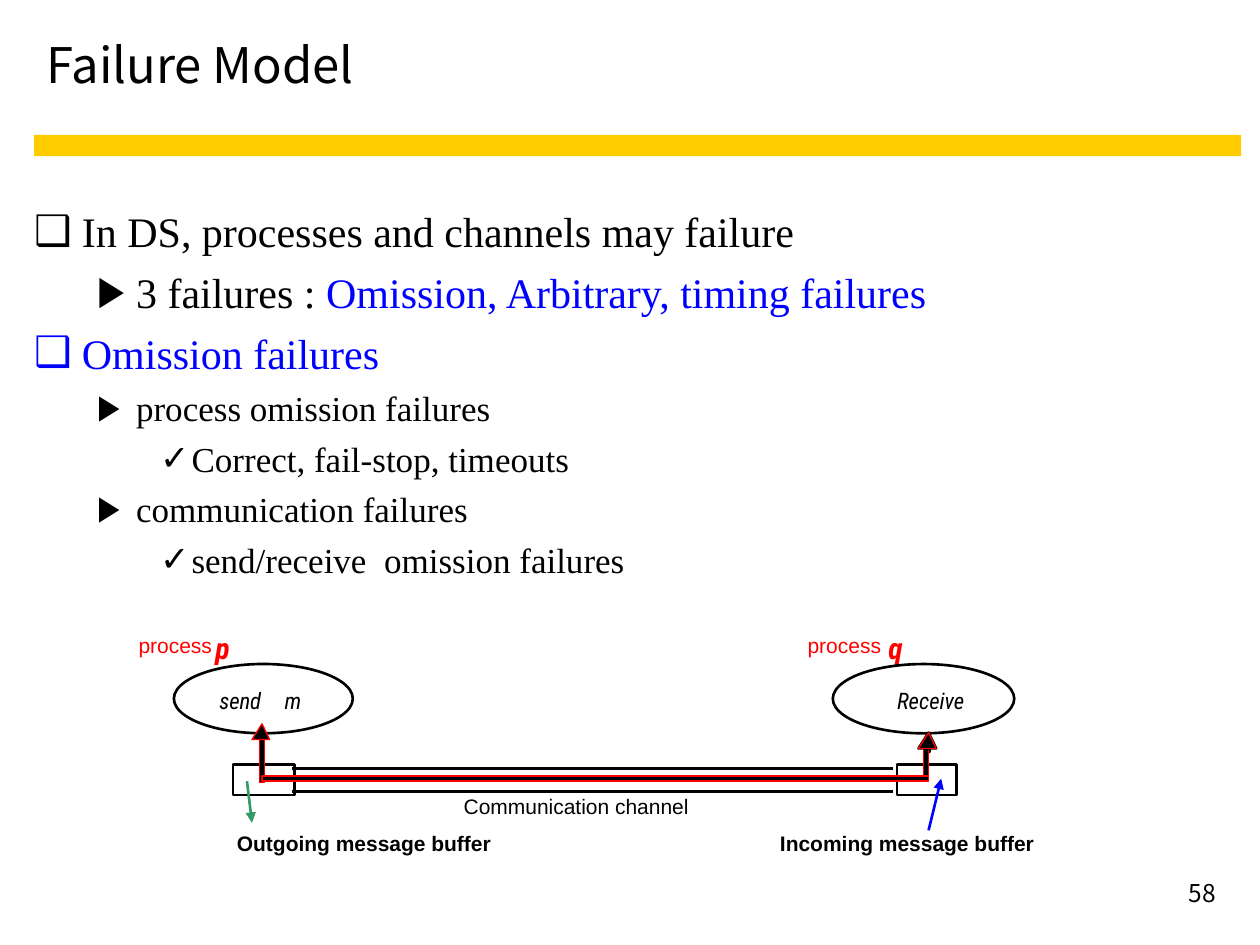
"""Build the Failure Model slide."""
from lxml import etree
from pptx import Presentation, util as u
from pptx.dml import color
from pptx.enum import shapes, text
from pptx.oxml import ns

COLUMNS, ROWS = 100, 75
WIDTH, HEIGHT = u.Inches(10), u.Inches(7.5)
BLACK, RED, BLUE, GREEN, GOLD = "000000", "FF0000", "0000FF", "339966", "FFCC00"
SANS, SERIF, ARIAL, NARROW = "Noto Sans CJK KR", "Times New Roman", "Arial", "Roboto Condensed"
RECT, OVAL = shapes.MSO_SHAPE.RECTANGLE, shapes.MSO_SHAPE.OVAL
OUTLINE = {"line": BLACK, "weight": 1.5}
TRACE = {"fill": BLACK, "line": RED, "weight": 0.75}
LABEL = {"name": ARIAL, "size": 12}
VERB = {"name": NARROW, "size": 13, "italic": True}
LETTER = {"name": NARROW, "size": 17, "bold": True, "italic": True, "color": RED}
LEVELS = [("❑", 0.38, 0.38), ("▶", 0.81, 0.31), ("✓", 1.25, 0.25)]
OUTLINE_TEXT = [
    (0, 24, [("In DS, processes and channels may failure", BLACK)]),
    (1, 24, [("3 failures : ", BLACK), ("Omission, Arbitrary, timing failures", BLUE)]),
    (0, 24, [("Omission failures", BLUE)]),
    (1, 20, [("process omission failures", BLACK)]),
    (2, 20, [("Correct, fail-stop, timeouts", BLACK)]),
    (1, 20, [("communication failures", BLACK)]),
    (2, 20, [("send/receive  omission failures", BLACK)]),
]


def rgb(value):
    """Turn a hex string into a colour."""
    return color.RGBColor.from_string(value)


def across(columns):
    """Convert grid columns to a length."""
    return round(WIDTH * columns / COLUMNS)


def down(rows):
    """Convert grid rows to a length."""
    return round(HEIGHT * rows / ROWS)


def frame(box):
    """Convert a grid box to lengths."""
    left, top, width, height = box
    return across(left), down(top), across(width), down(height)


def inside(box, part):
    """Move a part into the box that holds it."""
    return (box[0] + part[0], box[1] + part[1], *part[2:])


def add_span(para, words, style):
    """Add formatted words to a paragraph."""
    span = para.add_run()
    span.text = words
    values = {"color": BLACK, **style}
    span.font.color.rgb = rgb(values.pop("color"))
    values["size"] = u.Pt(values["size"])
    for key, value in values.items():
        setattr(span.font, key, value)


def add_label(page, box, words, style, **layout):
    """Add a one-line text box."""
    label = page.shapes.add_textbox(*frame(box))
    settings = {"margin_left": 0, "margin_top": 0, "margin_right": 0,
                "margin_bottom": 0, "word_wrap": False, **layout}
    for key, value in settings.items():
        setattr(label.text_frame, key, value)
    para = label.text_frame.paragraphs[0]
    add_span(para, words, style)
    return para


def paint(shape, fill=None, line=None, weight=1):
    """Set the fill and outline of a shape."""
    shape.shadow.inherit = False
    if fill:
        shape.fill.solid()
        shape.fill.fore_color.rgb = rgb(fill)
    else:
        shape.fill.background()
    if line:
        shape.line.color.rgb = rgb(line)
        shape.line.width = u.Pt(weight)
    else:
        shape.line.fill.background()


def add_block(page, kind, box, **style):
    """Add a painted preset shape."""
    paint(page.shapes.add_shape(kind, *frame(box)), **style)


def add_arrowhead(page, left, base, **style):
    """Add an upward triangle standing on its base."""
    corners = [(-0.8, 0), (0, -1.25), (0.6, 0)]
    builder = page.shapes.build_freeform(across(left), down(base), scale=1.0)
    builder.add_line_segments([(across(left + x), down(base + y)) for x, y in corners])
    paint(builder.convert_to_shape(), **style)


def add_line(page, start, end, shade=BLACK, arrow=False):
    """Add a straight line, with an optional arrowhead at its end."""
    line = page.shapes.add_connector(
        shapes.MSO_CONNECTOR.STRAIGHT, across(start[0]), down(start[1]),
        across(end[0]), down(end[1]))
    line.line.color.rgb = rgb(shade)
    line.line.width = u.Pt(1.5)
    if arrow:
        etree.SubElement(line.line._get_or_add_ln(), ns.qn("a:tailEnd"), type="triangle")
    etree.SubElement(line._element.spPr, ns.qn("a:effectLst"))


def put_placeholder(holder, box, anchor):
    """Move a placeholder and return its text frame."""
    holder.left, holder.top, holder.width, holder.height = frame(box)
    holder.text_frame.auto_size = text.MSO_AUTO_SIZE.NONE
    holder.text_frame.vertical_anchor = anchor
    return holder.text_frame


def add_heading(page, box):
    """Place the title and the bar beneath it."""
    left, top, width, height = box
    add_block(page, RECT, (left, top + 9.4, width, 1.7), fill=GOLD)
    words = put_placeholder(page.shapes.title, box, text.MSO_ANCHOR.MIDDLE)
    para = words.paragraphs[0]
    para.alignment = text.PP_ALIGN.LEFT
    add_span(para, "Failure Model", {"name": SANS, "size": 28})


def add_outline(page, box):
    """Fill the body with the bulleted outline."""
    words = put_placeholder(page.placeholders[1], box, text.MSO_ANCHOR.TOP)
    for index, (level, size, spans) in enumerate(OUTLINE_TEXT):
        para = words.add_paragraph() if index else words.paragraphs[0]
        para.level = level
        para.space_before = u.Pt(size / 4)
        mark, margin, hanging = LEVELS[level]
        properties = para._p.get_or_add_pPr()
        properties.set("marL", str(u.Inches(margin)))
        properties.set("indent", str(-u.Inches(hanging)))
        shade = etree.SubElement(properties, ns.qn("a:buClr"))
        etree.SubElement(shade, ns.qn("a:srgbClr"), val=spans[0][1])
        etree.SubElement(properties, ns.qn("a:buChar"), char=mark)
        for phrase, tint in spans:
            add_span(para, phrase, {"name": SERIF, "size": size, "color": tint})


def add_process(page, box, letter, oval, buffer, caption, verbs):
    """Draw one process with its buffer and labels."""
    letter_left, name = letter
    caption_left, wording = caption
    add_label(page, inside(box, (0, 0.2, 6.3, 2)), "process", {**LABEL, "color": RED})
    add_label(page, inside(box, (letter_left, 0, 1.4, 2.8)), name, LETTER)
    add_block(page, OVAL, inside(box, (oval[0], 2.7, oval[1], 5.5)), **OUTLINE)
    add_block(page, RECT, inside(box, (buffer[0], 10.7, buffer[1], 2.4)), **OUTLINE)
    add_label(page, inside(box, (caption_left, 15.9, 20.2, 2)), wording,
              {**LABEL, "bold": True})
    for left, width, verb in verbs:
        add_label(page, inside(box, (left, 4.5, width, 2.2)), verb, VERB)


def add_channel(page, box):
    """Draw the channel, its pointers and the message route."""
    left, top, width, _ = box
    right = left + width
    for row in (11, 12.8):
        add_line(page, (left + 2.4, top + row), (right - 2.8, top + row))
    add_label(page, inside(box, (16, 13, 17.9, 2)), "Communication channel", LABEL)
    add_line(page, (left - 1.2, top + 12), (left - 0.8, top + 15.3), GREEN, arrow=True)
    add_line(page, (right, top + 15.9), (right + 1, top + 11.8), BLUE, arrow=True)
    add_block(page, OVAL, (right - 0.2, top + 9.4, 0.4, 0.4), fill=BLACK)
    for stem, start, length in ((left - 0.2, 8.6, 3.5), (right - 0.4, 9.4, 2.4)):
        add_block(page, RECT, (stem, top + start - 0.2, 0.4, 0.2), fill=BLACK)
        add_block(page, RECT, (stem, top + start, 0.4, length), **TRACE)
    add_block(page, RECT, (left, top + 11.6, width, 0.4), **TRACE)
    add_arrowhead(page, right, top + 9.4, **OUTLINE)
    for tip, base in ((left, 8.7), (right, 9.4)):
        add_arrowhead(page, tip, top + base, **TRACE)


def add_number(page, box):
    """Write the page number."""
    margins = {"margin_right": u.Inches(0.1), "margin_top": u.Inches(0.05)}
    para = add_label(page, box, "58", {"name": SANS, "size": 14},
                     **{**margins, "word_wrap": True})
    para.alignment = text.PP_ALIGN.RIGHT


def main():
    """Build and save the deck."""
    deck = Presentation()
    deck.slide_width, deck.slide_height = WIDTH, HEIGHT
    page = deck.slides.add_slide(deck.slide_layouts[1])
    add_heading(page, (2.7, 1.3, 95.8, 7.5))
    add_outline(page, (1.7, 15.8, 95.8, 52.5))
    add_process(page, (11, 50, 28, 18), (6.1, "p"), (2.8, 14.2), (7.5, 4.9),
                (7.8, "Outgoing message buffer"), [(6.4, 3.8, "send"), (11.6, 1.6, "m")])
    add_process(page, (64.1, 50, 18, 18), (6.4, "q"), (2, 14.4), (7.1, 4.7),
                (-2.2, "Incoming message buffer"), [(7.1, 6.3, "Receive")])
    add_channel(page, (20.8, 50, 52.9, 18))
    add_number(page, (76.7, 69.2, 20.8, 5))
    deck.save("out.pptx")


if __name__ == "__main__":
    main()
